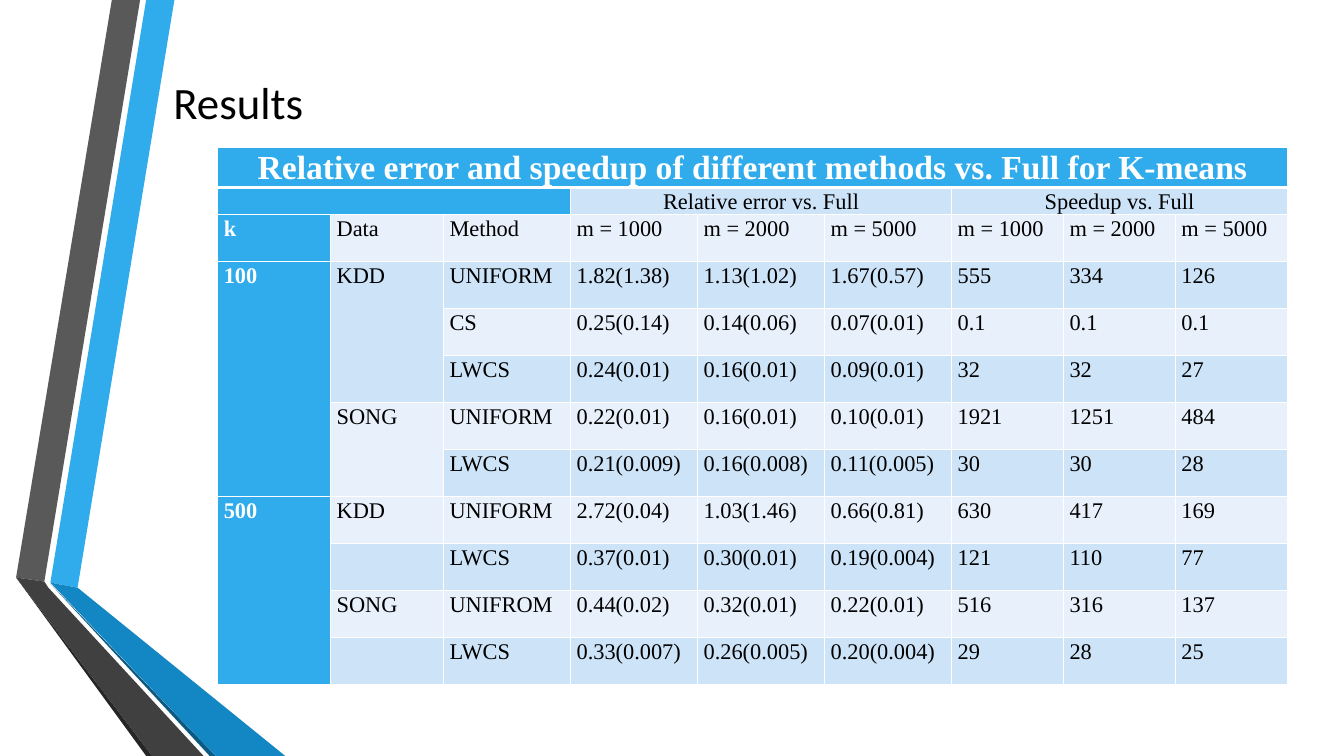
from dataclasses import dataclass

from lxml.etree import SubElement
from pptx import Presentation
from pptx.dml.color import RGBColor
from pptx.enum.text import MSO_ANCHOR, PP_ALIGN as Align
from pptx.oxml import parse_xml
from pptx.oxml.ns import nsdecls, qn
from pptx.util import Inches, Pt

COLORS = {
    "blue": "30ACEC", "blue_side": "1287C3", "blue_edge": "0C5A82",
    "gray": "595959", "gray_side": "404040", "gray_edge": "262626",
    "band_dark": "CDE3F8", "band_light": "E8F1FB",
    "white": "FFFFFF", "black": "000000",
}


@dataclass(frozen=True)
class Ribbon:
    color: str
    points: tuple[tuple[float, float], ...]


@dataclass(frozen=True)
class Span:
    row: int
    col: int
    rows: int
    cols: int


RIBBONS = (
    Ribbon("blue", ((0.5, 5.78), (0.77, 5.83), (1.73, 0), (1.45, 0))),
    Ribbon("gray", ((1.39, 0), (1.11, 0), (0.16, 5.73), (0.44, 5.77))),
    Ribbon("gray_edge", ((0.16, 5.73), (1.45, 7.5), (1.51, 7.5))),
    Ribbon("blue_edge", ((0.5, 5.79), (2.08, 7.5), (2.14, 7.5))),
    Ribbon("blue_side", ((0.5, 5.78), (2.14, 7.5), (2.83, 7.5), (0.77, 5.83))),
    Ribbon("gray_side", ((2.02, 7.5), (0.48, 5.83), (0.44, 5.77),
                         (0.16, 5.73), (1.51, 7.5))),
)

SIZES = ["m = 1000", "m = 2000", "m = 5000"]
ROWS = (
    ["Relative error and speedup of different methods vs. Full for K-means"] + [""] * 8,
    ["", "", "", "Relative error vs. Full", "", "", "Speedup vs. Full", "", ""],
    ["k", "Data", "Method"] + SIZES * 2,
    ["100", "KDD", "UNIFORM", "1.82(1.38)", "1.13(1.02)", "1.67(0.57)", "555", "334", "126"],
    ["", "", "CS", "0.25(0.14)", "0.14(0.06)", "0.07(0.01)", "0.1", "0.1", "0.1"],
    ["", "", "LWCS", "0.24(0.01)", "0.16(0.01)", "0.09(0.01)", "32", "32", "27"],
    ["", "SONG", "UNIFORM", "0.22(0.01)", "0.16(0.01)", "0.10(0.01)", "1921", "1251", "484"],
    ["", "", "LWCS", "0.21(0.009)", "0.16(0.008)", "0.11(0.005)", "30", "30", "28"],
    ["500", "KDD", "UNIFORM", "2.72(0.04)", "1.03(1.46)", "0.66(0.81)", "630", "417", "169"],
    ["", "", "LWCS", "0.37(0.01)", "0.30(0.01)", "0.19(0.004)", "121", "110", "77"],
    ["", "SONG", "UNIFROM", "0.44(0.02)", "0.32(0.01)", "0.22(0.01)", "516", "316", "137"],
    ["", "", "LWCS", "0.33(0.007)", "0.26(0.005)", "0.20(0.004)", "29", "28", "25"],
)
SPANS = (
    Span(0, 0, 1, 9), Span(1, 0, 1, 3), Span(1, 3, 1, 3), Span(1, 6, 1, 3),
    Span(3, 0, 5, 1), Span(3, 1, 3, 1), Span(6, 1, 2, 1), Span(8, 0, 4, 1),
)
COL_WIDTHS = [Inches(w) for w in [1.12] * 2 + [1.26] * 4 + [1.11] * 3]
ROW_HEIGHTS = [Inches(0.4), Inches(0.25)] + [Inches(4.66) // 10] * 10


def rgb(name: str) -> RGBColor:
    return RGBColor.from_string(COLORS[name])


def write(p, text: str, *, font: str, size: int, color: str = "black",
          bold: bool = False, align=Align.LEFT) -> None:
    p.alignment = align
    if not text:
        SubElement(p._p, qn("a:endParaRPr"), sz=str(size * 100))
        return
    r = p.add_run()
    r.text = text
    r.font.name, r.font.size, r.font.bold = font, Pt(size), bold
    r.font.color.rgb = rgb(color)


def draw_ribbon(shapes, ribbon: Ribbon) -> None:
    start, *rest = [(Inches(x), Inches(y)) for x, y in ribbon.points]
    builder = shapes.build_freeform(*start)
    builder.add_line_segments(rest, close=True)
    sp = builder.convert_to_shape()
    sp.shadow.inherit = False
    sp.fill.solid()
    sp.fill.fore_color.rgb = rgb(ribbon.color)
    sp.line.fill.background()


def set_borders(cell, row: int) -> None:
    widths = {"L": 1, "R": 1, "T": 3 if row == 1 else 1, "B": 3 if row == 0 else 1}
    tc_pr = cell._tc.get_or_add_tcPr()
    for i, (side, width) in enumerate(widths.items()):
        tc_pr.insert(i, parse_xml(
            f'<a:ln{side} {nsdecls("a")} w="{Pt(width)}"><a:solidFill>'
            f'<a:srgbClr val="{COLORS["white"]}"/></a:solidFill></a:ln{side}>'))


def draw_cell(cell, text: str, row: int, col: int) -> None:
    is_header = row == 0 or col == 0
    is_blue = is_header or (row == 1 and col < 3)
    cell.fill.solid()
    cell.fill.fore_color.rgb = rgb(
        "blue" if is_blue else "band_dark" if row % 2 else "band_light")
    cell.margin_left = cell.margin_right = Inches(0.06)
    cell.margin_top = cell.margin_bottom = 0
    p = cell.text_frame.paragraphs[0]
    p.line_spacing = 1.07
    write(p, text, font="Times New Roman", size=24 if row == 0 and text else 16,
          color="white" if is_blue else "black", bold=is_header,
          align=Align.CENTER if row < 2 else Align.JUSTIFY if col == 0 else Align.LEFT)
    set_borders(cell, row)


prs = Presentation()
prs.slide_width, prs.slide_height = Inches(13.33), Inches(7.5)
s = prs.slides.add_slide(prs.slide_layouts[5])

# Folded ribbons, behind the title
for ribbon in RIBBONS:
    draw_ribbon(s.shapes, ribbon)

# Title
title = s.shapes.title
title.element.getparent().append(title.element)
title.left, title.top = Inches(1.62), Inches(0.43)
title.width, title.height = Inches(10.96), Inches(1.15)
tf = title.text_frame
tf.vertical_anchor = MSO_ANCHOR.MIDDLE
write(tf.paragraphs[0], "Results", font="Calibri", size=32)

# Results table
table = s.shapes.add_table(len(ROWS), len(COL_WIDTHS), Inches(2.16), Inches(1.46),
                           sum(COL_WIDTHS), sum(ROW_HEIGHTS)).table
table.first_row = table.horz_banding = False
for column, width in zip(table.columns, COL_WIDTHS):
    column.width = width
for table_row, height in zip(table.rows, ROW_HEIGHTS):
    table_row.height = height
for row, texts in enumerate(ROWS):
    for col, text in enumerate(texts):
        draw_cell(table.cell(row, col), text, row, col)
for span in SPANS:
    last = table.cell(span.row + span.rows - 1, span.col + span.cols - 1)
    table.cell(span.row, span.col).merge(last)

prs.save("out.pptx")
